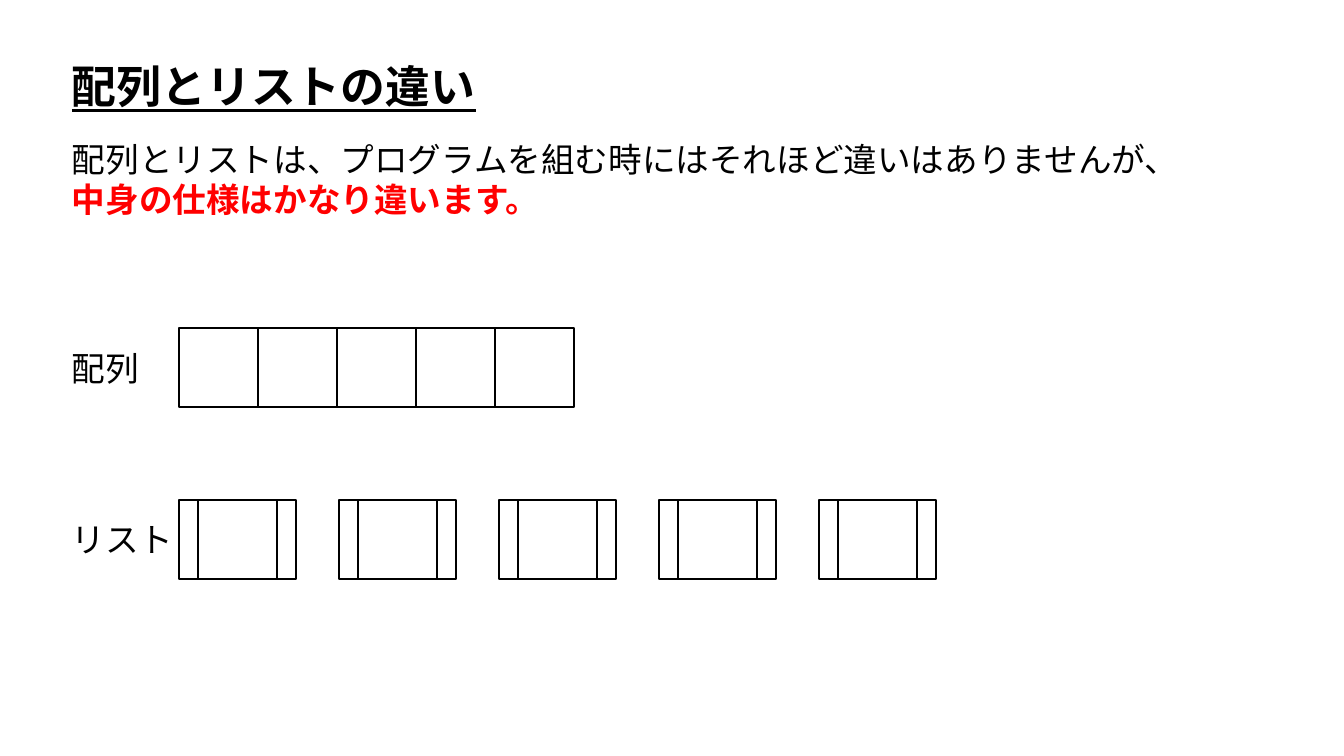
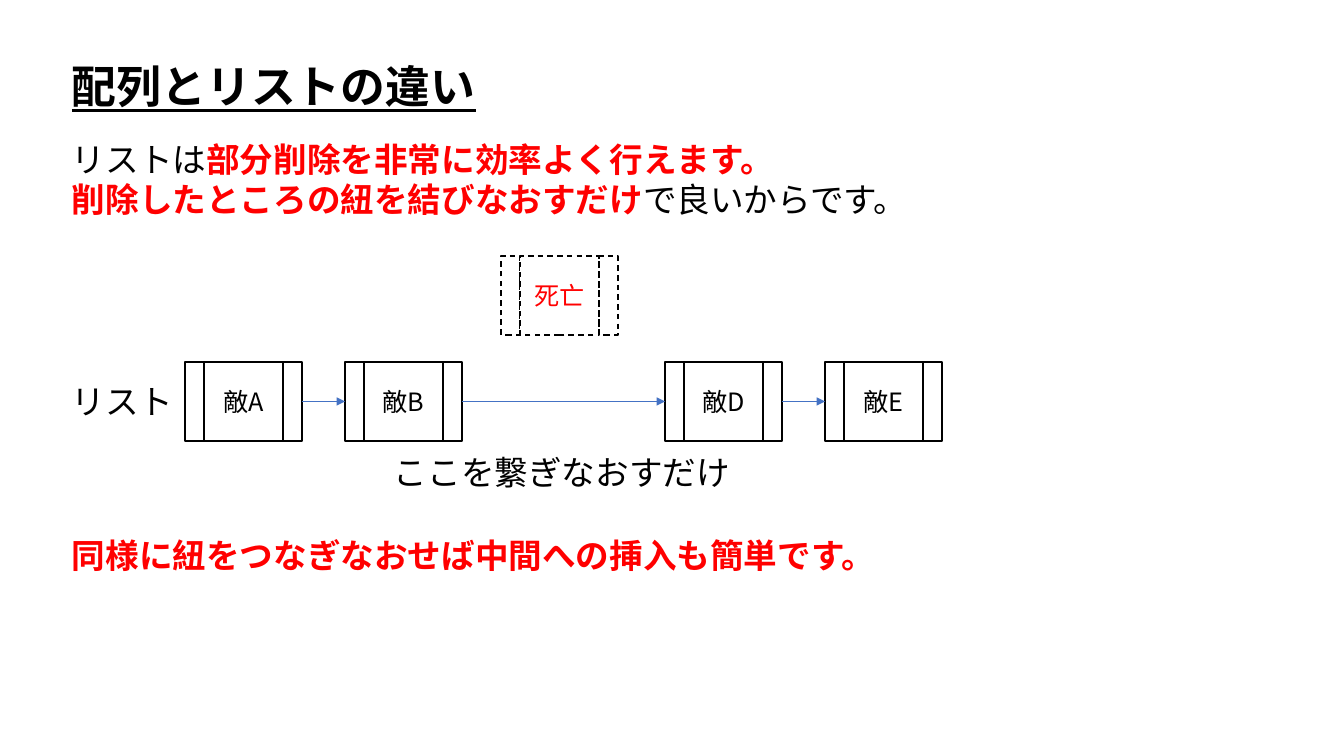
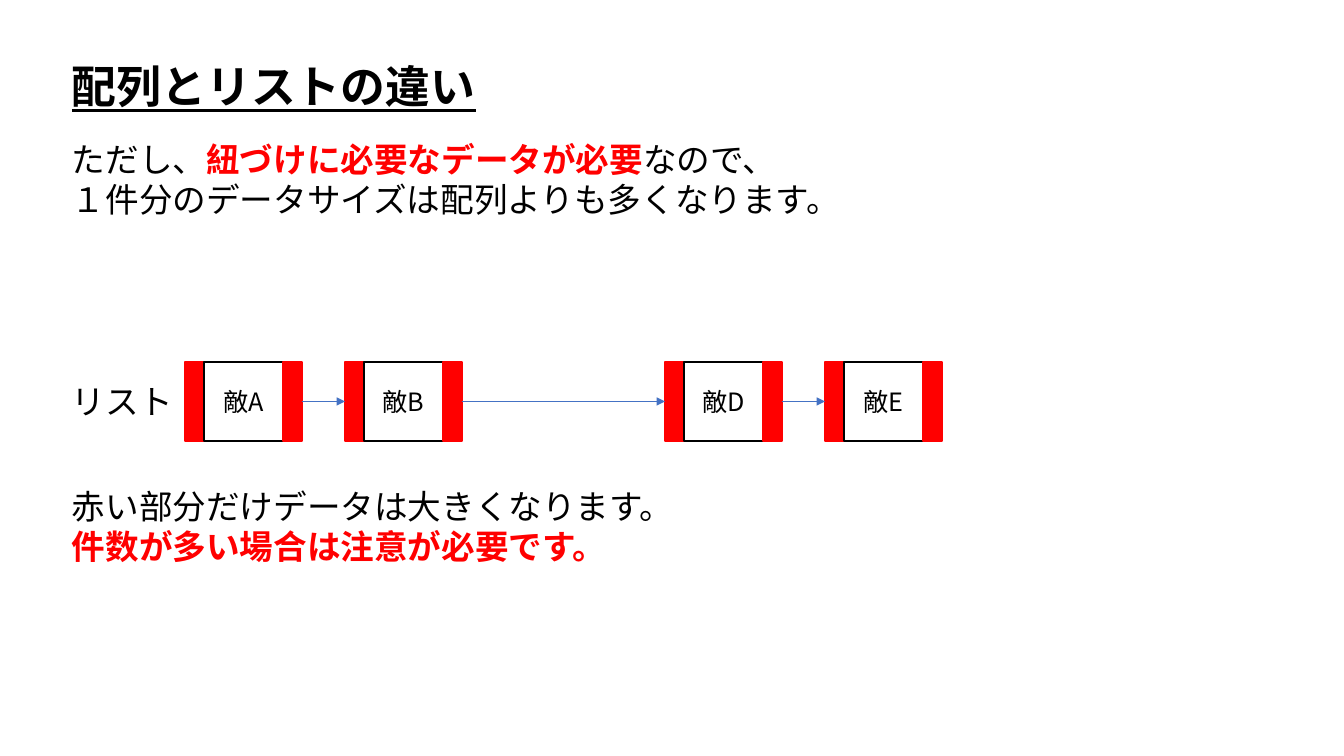
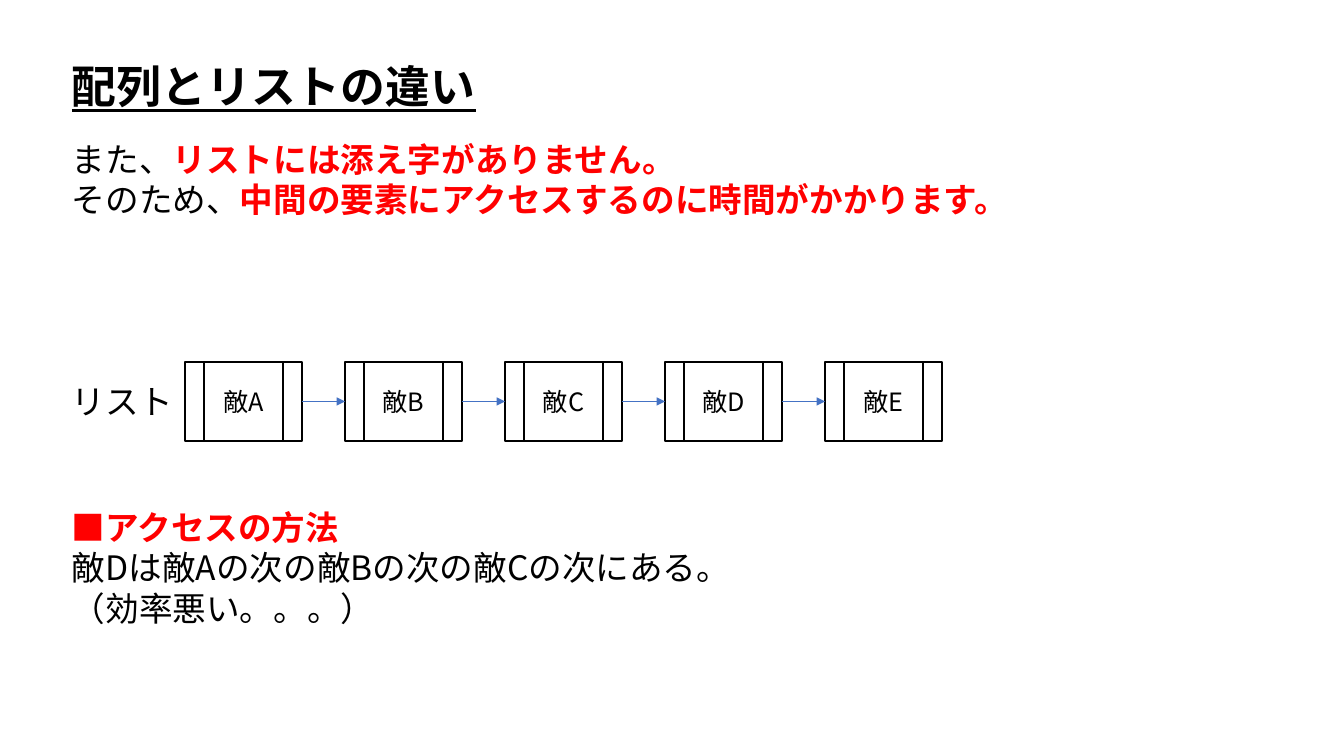
import pptx
import pptx.dml.color
import pptx.enum.dml
import pptx.enum.shapes
import pptx.enum.text
import pptx.oxml
import pptx.oxml.ns
import pptx.util

PX = 9071  # EMU in one px
FONT = "Noto Sans CJK JP"
BLACK = pptx.dml.color.RGBColor(0x00, 0x00, 0x00)
WHITE = pptx.dml.color.RGBColor(0xFF, 0xFF, 0xFF)
RED = pptx.dml.color.RGBColor(0xFF, 0x00, 0x00)
BLUE = pptx.dml.color.RGBColor(0x44, 0x72, 0xC4)

LEFT = 62
CELL, LINK, PITCH = 79, 19, 160  # data cell, link strip, step between nodes
ARRAY_X, ARRAY_Y = 179, 328
ROW_X, ROW_Y = 185, 362
TITLE = (LEFT, 54, 428, 65, 32, "配列とリストの違い")
ROW_LABEL = (LEFT, 376, 122, 50, 24, "リスト")


def write(frame, text, size, color=BLACK):
    """Write one paragraph per line; pieces between bars are bold red."""
    for number, line in enumerate(text.split("\n")):
        para = frame.add_paragraph() if number else frame.paragraphs[0]
        para.font.size = pptx.util.Pt(size)
        para.font.name = FONT
        east_asian = pptx.oxml.parse_xml(
            f'<a:ea {pptx.oxml.ns.nsdecls("a")} typeface="{FONT}"/>')
        para._p.pPr.find(pptx.oxml.ns.qn("a:defRPr")).append(east_asian)
        pieces = [(piece, i % 2 == 1) for i, piece in enumerate(line.split("|")) if piece]
        for piece, strong in pieces:
            span = para.add_run()
            span.text = piece
            font = para.font if len(pieces) == 1 else span.font
            font.bold = strong
            font.color.rgb = RED if strong else color


def add_box(page, x, y, width, fill=None, line=BLACK, dashed=False):
    box = page.shapes.add_shape(pptx.enum.shapes.MSO_SHAPE.RECTANGLE,
                                x * PX, y * PX, width * PX, CELL * PX)
    box.shadow.inherit = False
    if fill is None:
        box.fill.background()
    else:
        box.fill.solid()
        box.fill.fore_color.rgb = fill
    box.line.color.rgb = line
    box.line.width = pptx.util.Pt(1)
    if dashed:
        box.line.dash_style = pptx.enum.dml.MSO_LINE.DASH
    return box


def_slots = [ROW_X + slot * PITCH for slot in range(5)]
enemies = [(x, ROW_Y, f"敵{letter}") for x, letter in zip(def_slots, "ABCDE")]
survivors = enemies[:2] + enemies[3:]
dead_enemy = (501, 256, "死亡")
empty_nodes = [(ARRAY_X + slot * PITCH, 500, "") for slot in range(5)]

# texts, nodes, nodes joined by arrows, colour of the link strips
pages = [
    ([(LEFT, 134, 1140, 92, 24,
       "配列とリストは、プログラムを組む時にはそれほど違いはありませんが、\n|中身の仕様はかなり違います。"),
      (LEFT, 343, 89, 50, 24, "配列"),
      (LEFT, 514, 122, 50, 24, "リスト")],
     empty_nodes, [], None),
    ([(LEFT, 134, 869, 92, 24,
       "リストは|部分削除を非常に効率よく行えます。\n|削除したところの紐を結びなおすだけ|で良いからです。"),
      ROW_LABEL,
      (384, 447, 360, 50, 24, "ここを繋ぎなおすだけ"),
      (LEFT, 530, 835, 50, 24, "|同様に紐をつなぎなおせば中間への挿入も簡単です。")],
     survivors + [dead_enemy], survivors, None),
    ([(LEFT, 134, 801, 92, 24,
       "ただし、|紐づけに必要なデータが必要|なので、\n１件分のデータサイズは配列よりも多くなります。"),
      ROW_LABEL,
      (LEFT, 481, 631, 92, 24,
       "赤い部分だけデータは大きくなります。\n|件数が多い場合は注意が必要です。")],
     survivors, survivors, RED),
    ([(LEFT, 134, 971, 92, 24,
       "また、|リストには添え字がありません。\nそのため、|中間の要素にアクセスするのに時間がかかります。"),
      ROW_LABEL,
      (LEFT, 502, 690, 132, 24,
       "|■アクセスの方法\n敵Dは敵Aの次の敵Bの次の敵Cの次にある。\n（効率悪い。。。）")],
     enemies, enemies, None),
]

deck = pptx.Presentation()
deck.slide_width, deck.slide_height = 1344 * PX, 756 * PX

for number, (texts, nodes, chain, link_color) in enumerate(pages):
    page = deck.slides.add_slide(deck.slide_layouts[6])

    for x, y, width, height, size, text in [TITLE] + texts:
        box = page.shapes.add_textbox(x * PX, y * PX, width * PX, height * PX)
        box.text_frame.word_wrap = True
        box.text_frame.auto_size = pptx.enum.text.MSO_AUTO_SIZE.SHAPE_TO_FIT_TEXT
        write(box.text_frame, text, size)
    title_font = page.shapes[0].text_frame.paragraphs[0].font
    title_font.bold = title_font.underline = True

    if number == 0:
        for slot in range(5):
            add_box(page, ARRAY_X + slot * CELL, ARRAY_Y, CELL)

    links = {}
    for node in nodes:
        x, y, text = node
        dashed = node == dead_enemy
        link_line = link_color or BLACK
        before = add_box(page, x, y, LINK, link_color, link_line, dashed)
        cell = add_box(page, x + LINK, y, CELL, WHITE if text else None, BLACK, dashed)
        after = add_box(page, x + LINK + CELL, y, LINK, link_color, link_line, dashed)
        links[node] = before, after
        if text:
            cell.text_frame.vertical_anchor = pptx.enum.text.MSO_ANCHOR.MIDDLE
            write(cell.text_frame, text, 18, RED if dashed else BLACK)
            cell.text_frame.paragraphs[0].alignment = pptx.enum.text.PP_ALIGN.CENTER

    for source, target in zip(chain, chain[1:]):
        arrow = page.shapes.add_connector(pptx.enum.shapes.MSO_CONNECTOR.STRAIGHT, 0, 0, 0, 0)
        arrow.begin_connect(links[source][1], 3)
        arrow.end_connect(links[target][0], 1)
        arrow.line.color.rgb = BLUE
        arrow.line.width = pptx.util.Pt(0.5)
        namespace = pptx.oxml.ns.nsdecls("a")
        arrow.line._get_or_add_ln().append(
            pptx.oxml.parse_xml(f'<a:tailEnd {namespace} type="triangle"/>'))
        arrow._element.spPr.append(pptx.oxml.parse_xml(f"<a:effectLst {namespace}/>"))

deck.save("out.pptx")
